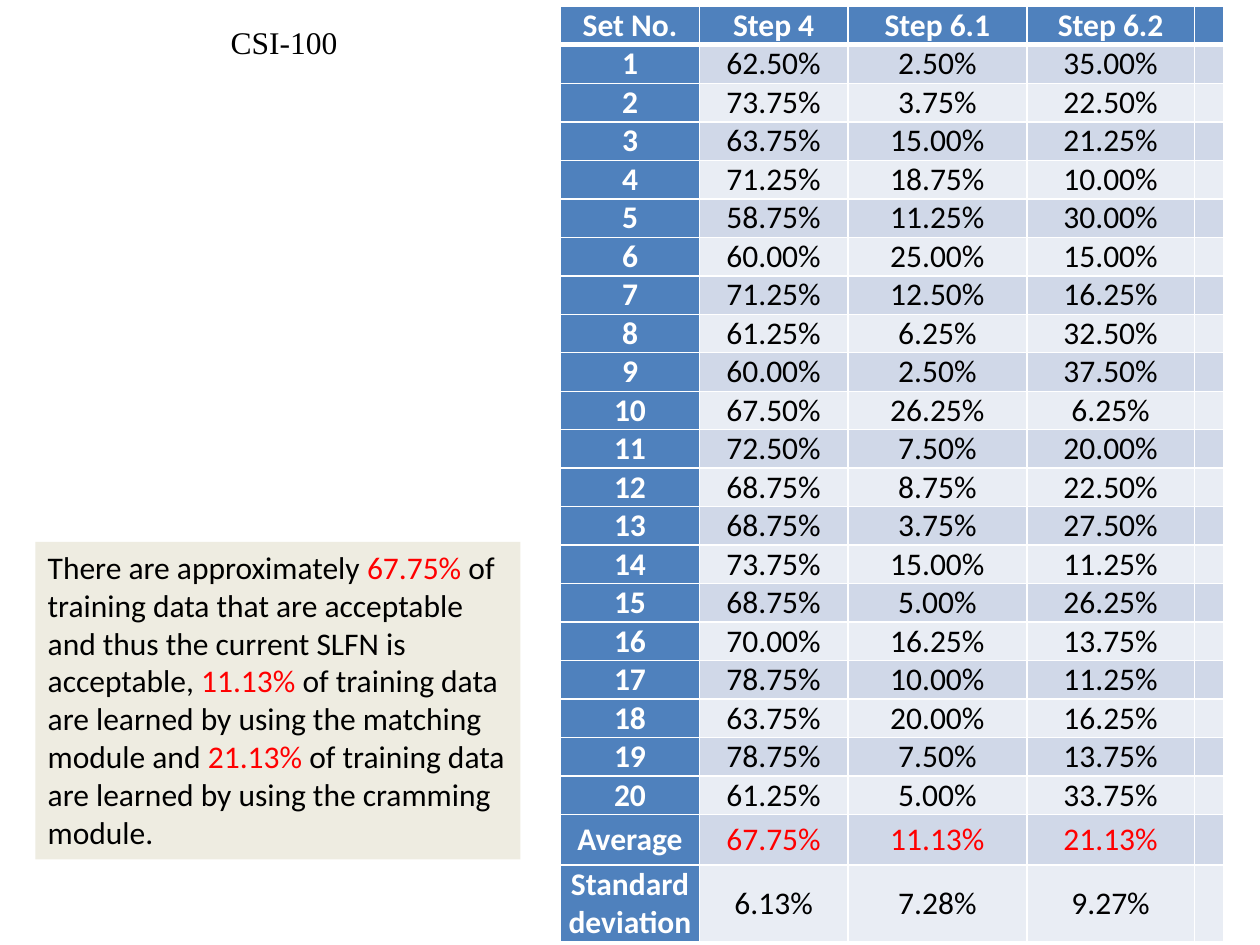
import pptx
import pptx.util
import pptx.dml.color
import pptx.enum.shapes
import pptx.enum.text
import lxml.etree
from pptx.oxml.ns import qn

Inches, Pt = pptx.util.Inches, pptx.util.Pt
ALIGN = pptx.enum.text.PP_ALIGN
ANCHOR = pptx.enum.text.MSO_ANCHOR
BLUE, WHITE, BLACK, RED = "4F81BD", "FFFFFF", "000000", "FF0000"
BANDS = ("E9EDF4", "D0D8E8")

TITLE = "CSI-100"
HEAD = ("Set No.", "Step 4", "Step 6.1", "Step 6.2", "")
SETS = [
    (62.50, 2.50, 35.00), (73.75, 3.75, 22.50), (63.75, 15.00, 21.25),
    (71.25, 18.75, 10.00), (58.75, 11.25, 30.00), (60.00, 25.00, 15.00),
    (71.25, 12.50, 16.25), (61.25, 6.25, 32.50), (60.00, 2.50, 37.50),
    (67.50, 26.25, 6.25), (72.50, 7.50, 20.00), (68.75, 8.75, 22.50),
    (68.75, 3.75, 27.50), (73.75, 15.00, 11.25), (68.75, 5.00, 26.25),
    (70.00, 16.25, 13.75), (78.75, 10.00, 11.25), (63.75, 20.00, 16.25),
    (78.75, 7.50, 13.75), (61.25, 5.00, 33.75),
]
TOTALS = [("Average", (67.75, 11.13, 21.13)),
          ("Standard deviation", (6.13, 7.28, 9.27))]
NOTE = [
    ("There are approximately ", BLACK), ("67.75% ", RED),
    ("of training data that are acceptable and thus the current SLFN is "
     "acceptable, ", BLACK),
    ("11.13%", RED),
    (" of training data are learned by using the matching module and ", BLACK),
    ("21.13% ", RED),
    ("of training data are learned by using the cramming module.", BLACK),
]
WIDTHS = (1.1, 1.18, 1.42, 1.33, 0.23)
HEIGHTS = [0.3] * (1 + len(SETS)) + [0.4, 0.6]


def rgb(code):
    """Turn a hex string into a colour."""
    return pptx.dml.color.RGBColor.from_string(code)


def style(run, color, bold=False, face="Calibri"):
    """Format one run of text."""
    font = run.font
    font.name, font.size, font.bold = face, Pt(18), bold
    font.color.rgb = rgb(color)


def edge(cell, side, width):
    """Draw one white border of a cell."""
    line = lxml.etree.SubElement(cell._tc.get_or_add_tcPr(), qn("a:ln" + side),
                                 w=str(Pt(width)))
    fill = lxml.etree.SubElement(line, qn("a:solidFill"))
    lxml.etree.SubElement(fill, qn("a:srgbClr"), val=WHITE)


def fill_cell(cell, text, row, col):
    """Write and format one table cell."""
    label = row == 0 or col == 0
    for side in "LRTB":
        thick = (row, side) in ((0, "B"), (1, "T"))
        edge(cell, side, 3 if thick else 1)
    cell.fill.solid()
    cell.fill.fore_color.rgb = rgb(BLUE if label and (col == 0 or row == 0)
                                   else BANDS[row % 2])
    cell.margin_left = cell.margin_right = Inches(0.06 if label else 0.07)
    cell.margin_top = cell.margin_bottom = 0
    cell.vertical_anchor = ANCHOR.MIDDLE
    cell.text_frame.text = text
    para = cell.text_frame.paragraphs[0]
    para.alignment = ALIGN.CENTER
    para.font.size = Pt(18)
    mean = row == len(SETS) + 1
    for run in para.runs:
        style(run, WHITE if label else RED if mean else BLACK, label)


def add_grid(slide):
    """Add the table of results."""
    body = [(str(n), vals) for n, vals in enumerate(SETS, 1)] + TOTALS
    rows = [HEAD] + [(name, *(f"{v:.2f}%" for v in vals), "")
                     for name, vals in body]
    table = slide.shapes.add_table(
        len(rows), len(HEAD), Inches(4.45), Inches(0.05),
        Inches(sum(WIDTHS)), Inches(sum(HEIGHTS))).table
    for column, width in zip(table.columns, WIDTHS):
        column.width = Inches(width)
    for r, texts in enumerate(rows):
        table.rows[r].height = Inches(HEIGHTS[r])
        for c, text in enumerate(texts):
            fill_cell(table.cell(r, c), text, r, c)


def add_note(slide):
    """Add the shaded summary box."""
    box = slide.shapes.add_shape(
        pptx.enum.shapes.MSO_SHAPE.RECTANGLE,
        Inches(0.28), Inches(4.3), Inches(3.85), Inches(2.52))
    box.shadow.inherit = False
    box.fill.solid()
    box.fill.fore_color.rgb = rgb("EEECE1")
    box.line.fill.background()
    frame = box.text_frame
    frame.word_wrap = True
    frame.vertical_anchor = ANCHOR.TOP
    para = frame.paragraphs[0]
    para.alignment = ALIGN.LEFT
    for text, color in NOTE:
        run = para.add_run()
        run.text = text
        style(run, color)


def set_title(slide):
    """Place and format the title."""
    title = slide.shapes.title
    title.left, title.top = Inches(0.28), Inches(0.13)
    title.width, title.height = Inches(3.95), Inches(0.47)
    frame = title.text_frame
    frame.text = TITLE
    frame.auto_size = pptx.enum.text.MSO_AUTO_SIZE.NONE
    frame.vertical_anchor = ANCHOR.TOP
    frame.paragraphs[0].alignment = ALIGN.CENTER
    style(frame.paragraphs[0].runs[0], BLACK, face="Times New Roman")


deck = pptx.Presentation()
deck.slide_width, deck.slide_height = Inches(10), Inches(7.5)
page = deck.slides.add_slide(deck.slide_layouts[5])
add_grid(page)
add_note(page)
set_title(page)
deck.save("out.pptx")
